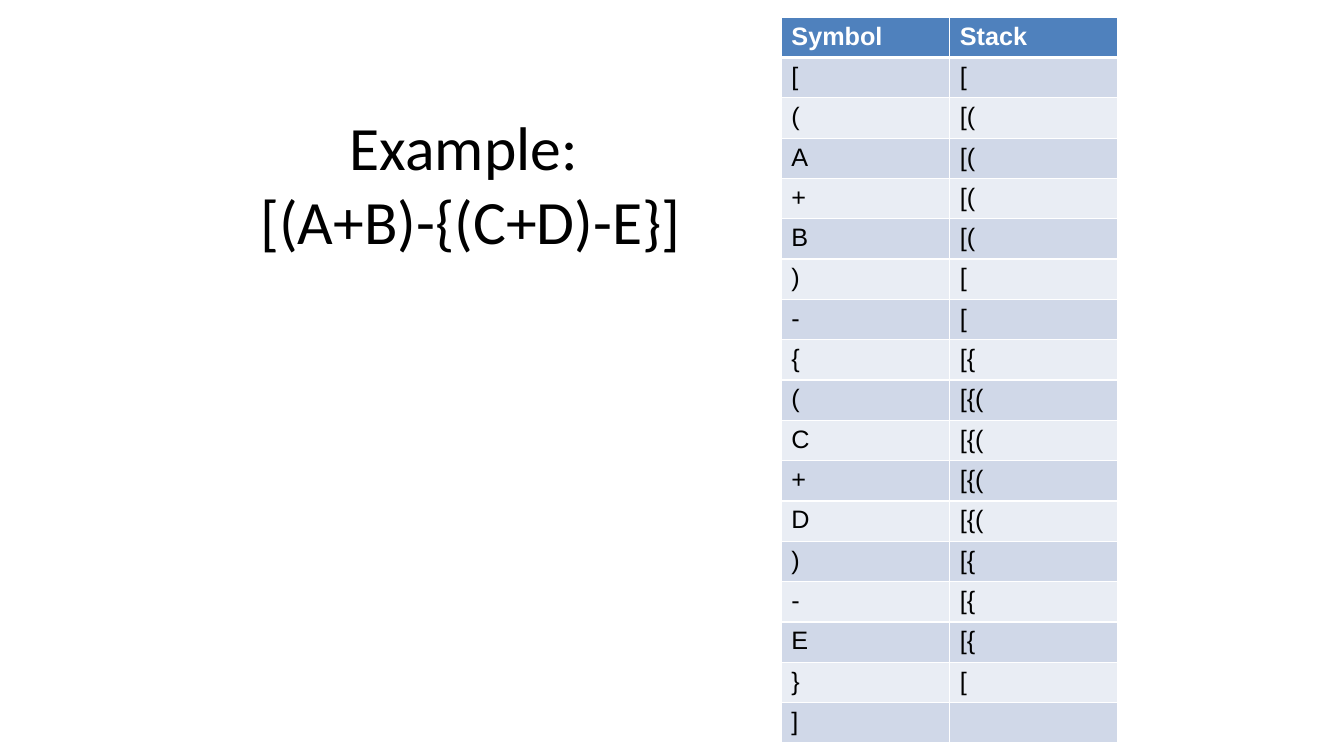
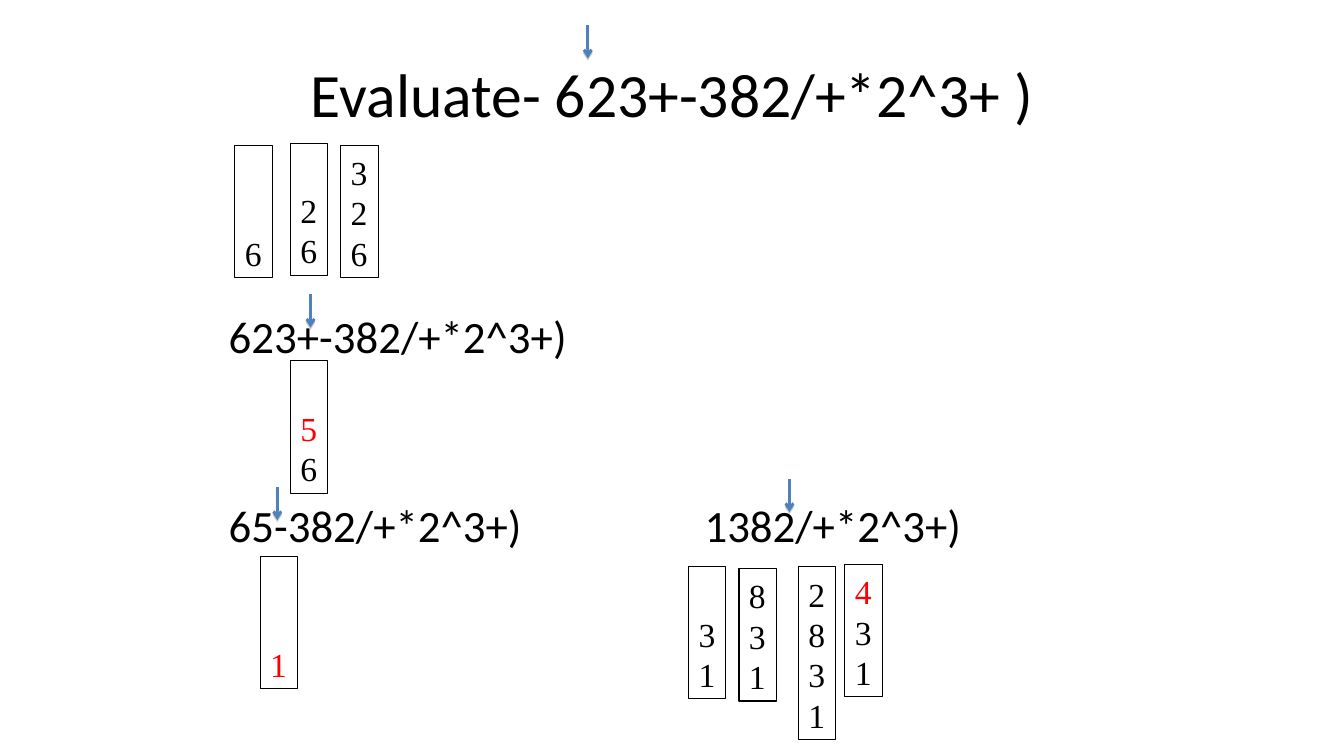
from dataclasses import dataclass
from lxml.etree import SubElement as Sub
from pptx import Presentation
from pptx.dml.color import RGBColor as RGB
from pptx.enum.shapes import MSO_CONNECTOR as Link
from pptx.enum.text import MSO_ANCHOR as Anchor, PP_ALIGN as Align
from pptx.oxml.ns import qn
from pptx.util import Inches, Pt


@dataclass(frozen=True)
class Theme:
    black: str = "000000"
    white: str = "FFFFFF"
    red: str = "FF0000"
    blue: str = "4F81BD"
    shade: str = "808080"
    bands: tuple = ("D0D8E8", "E9EDF4")
    sans: str = "Calibri"
    grid: str = "Arial"
    serif: str = "Times New Roman"
    title: int = 44
    body: int = 32
    stack: int = 24
    cell: int = 18


T = Theme()

HEAD = ("Symbol", "Stack")
STEPS = [
    ("[", "["), ("(", "[("), ("A", "[("), ("+", "[("), ("B", "[("),
    (")", "["), ("-", "["), ("{", "[{"), ("(", "[{("), ("C", "[{("),
    ("+", "[{("), ("D", "[{("), (")", "[{"), ("-", "[{"), ("E", "[{"),
    ("}", "["), ("]", ""),
]
TRACE = ["Example: ", "[(A+B)-{(C+D)-E}]"]
EVAL = ["Evaluate- 623+-382/+*2^3+ )"]

TERMS = [
    ("623+-382/+*2^3+)", 2.17, 3.01),
    ("65-382/+*2^3+)", 2.17, 4.89),
    ("1382/+*2^3+)", 6.89, 4.89),
]
MARKS = [(5.83, 0.25), (3.08, 2.92), (2.75, 4.83), (7.83, 4.75)]
STACKS = [
    ("6", 2.33, 1.44, False),
    ("26", 2.88, 1.42, False),
    ("326", 3.38, 1.44, False),
    ("56", 2.88, 3.58, True),
    ("1", 2.58, 5.52, True),
    ("31", 6.83, 5.62, False),
    ("831", 7.33, 5.64, False),
    ("2831", 7.92, 5.62, False),
    ("431", 8.38, 5.6, True),
]


def say(par, text, font, size, color=T.black, bold=False):
    run = par.add_run()
    run.text = text
    run.font.name = font
    run.font.size = Pt(size)
    run.font.bold = bold
    run.font.color.rgb = RGB.from_string(color)


def box(x, y, w, h):
    return [Inches(n) for n in (x, y, w, h)]


def new_slide(deck, lines, place):
    slide = deck.slides.add_slide(deck.slide_layouts[5])
    title = slide.shapes.title
    title.left, title.top, title.width, title.height = box(*place)
    title.text_frame.vertical_anchor = Anchor.MIDDLE
    par = title.text_frame.paragraphs[0]
    par.alignment = Align.CENTER
    for i, line in enumerate(lines):
        if i:
            par.add_line_break()
        say(par, line, T.sans, T.title)
    return slide


def add_edge(cell, side, width):
    line = Sub(cell._tc.get_or_add_tcPr(), qn("a:ln" + side), w=str(Pt(width)))
    fill = Sub(line, qn("a:solidFill"))
    Sub(fill, qn("a:srgbClr"), val=T.white)


def add_grid(slide, x, y, wide, high):
    rows = [HEAD] + STEPS
    place = box(x, y, wide * len(HEAD), high * len(rows))
    table = slide.shapes.add_table(len(rows), len(HEAD), *place).table
    table.horz_banding = False
    for col in table.columns:
        col.width = Inches(wide)
    for r, row in enumerate(rows):
        table.rows[r].height = Inches(high)
        top = r == 0
        for c, text in enumerate(row):
            cell = table.cell(r, c)
            for side in "LRTB":
                thick = (top and side == "B") or (r == 1 and side == "T")
                add_edge(cell, side, 3 if thick else 1)
            cell.fill.solid()
            tone = T.blue if top else T.bands[(r - 1) % 2]
            cell.fill.fore_color.rgb = RGB.from_string(tone)
            ink = T.white if top else T.black
            say(cell.text_frame.paragraphs[0], text, T.grid, T.cell, ink, top)


def add_term(slide, text, x, y):
    frame = slide.shapes.add_textbox(*box(x, y, 4.4, 0.65)).text_frame
    frame.word_wrap = True
    say(frame.paragraphs[0], text, T.sans, T.body)


def add_mark(slide, x, y):
    ends = box(x, y, x, y + 0.33)
    line = slide.shapes.add_connector(Link.STRAIGHT, *ends)
    line.line.color.rgb = RGB.from_string(T.blue)
    line.line.width = Pt(2)
    Sub(line.line._get_or_add_ln(), qn("a:tailEnd"), type="arrow")
    glow = Sub(line._element.spPr, qn("a:effectLst"))
    cast = Sub(glow, qn("a:outerShdw"), dist=str(Pt(1.6)), dir="5400000")
    tone = Sub(cast, qn("a:srgbClr"), val=T.shade)
    Sub(tone, qn("a:alpha"), val="38000")


def add_stack(slide, items, x, y, fresh):
    high = 0.1 + 0.405 * max(3, len(items))
    shape = slide.shapes.add_textbox(*box(x, y, 0.37, high))
    shape.line.color.rgb = RGB.from_string(T.black)
    shape.line.width = Pt(0.75)
    frame = shape.text_frame
    frame.word_wrap = False
    frame.vertical_anchor = Anchor.BOTTOM
    for i, item in enumerate(items):
        par = frame.add_paragraph() if i else frame.paragraphs[0]
        ink = T.red if fresh and i == 0 else T.black
        say(par, item, T.serif, T.stack, ink)


def main():
    deck = Presentation()
    deck.slide_width, deck.slide_height = Inches(13.33), Inches(7.5)

    trace = new_slide(deck, TRACE, (2.17, 0.3, 5, 3.03))
    add_grid(trace, 7.75, 0.17, 1.67, 0.4)

    work = new_slide(deck, EVAL, (0.67, 0.3, 12, 1.25))
    for term in TERMS:
        add_term(work, *term)
    for mark in MARKS:
        add_mark(work, *mark)
    for stack in STACKS:
        add_stack(work, *stack)

    deck.save("out.pptx")


if __name__ == "__main__":
    main()
